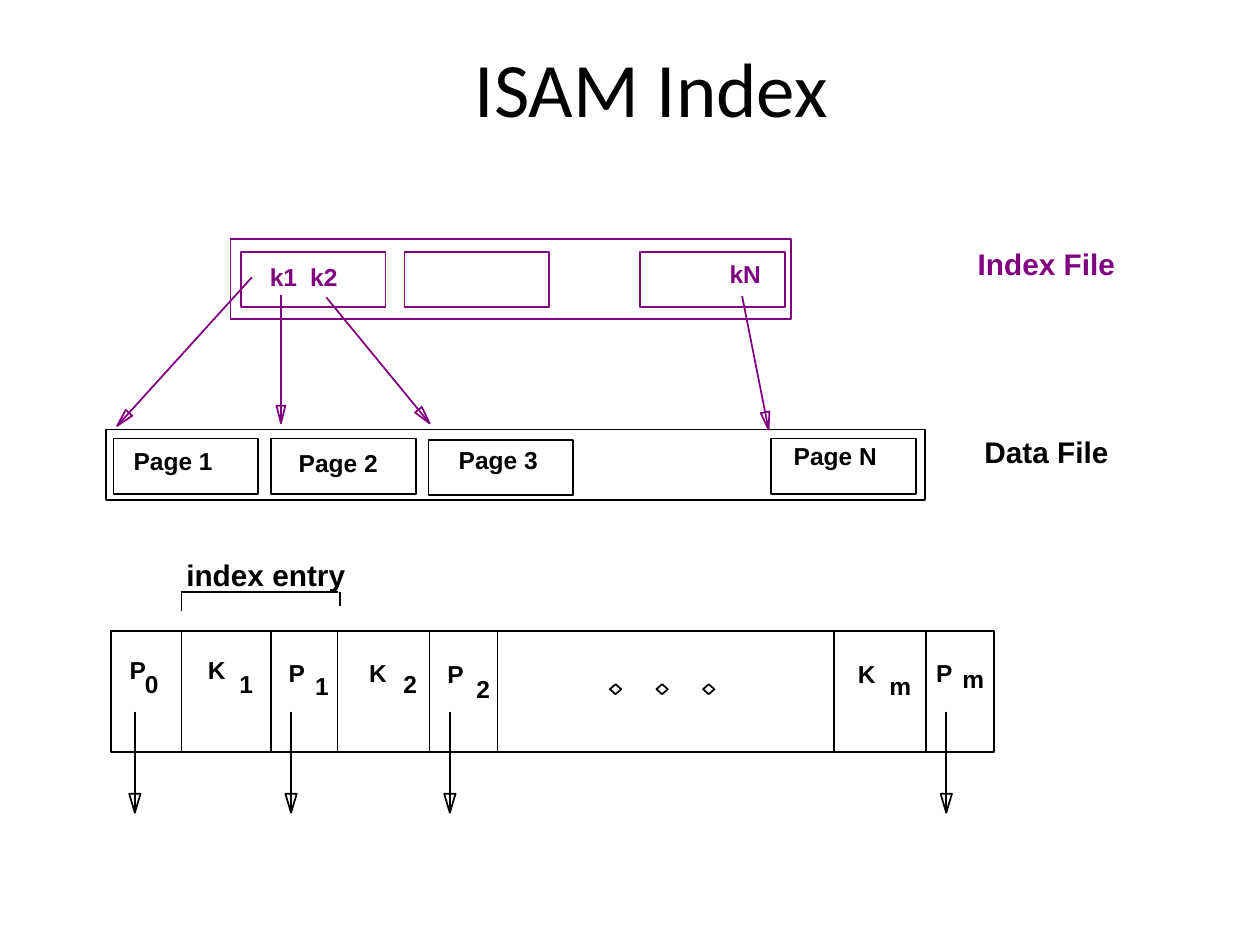
import math
from typing import NamedTuple

from lxml import etree
from pptx import Presentation
from pptx.dml.color import RGBColor
from pptx.enum.shapes import MSO_CONNECTOR, MSO_SHAPE
from pptx.enum.text import MSO_ANCHOR, MSO_AUTO_SIZE, PP_ALIGN
from pptx.oxml.ns import qn
from pptx.util import Inches, Pt

RECT, DIAMOND = MSO_SHAPE.RECTANGLE, MSO_SHAPE.DIAMOND
STRAIGHT = MSO_CONNECTOR.STRAIGHT
CENTER = PP_ALIGN.CENTER
TOP, MIDDLE = MSO_ANCHOR.TOP, MSO_ANCHOR.MIDDLE
FIT = MSO_AUTO_SIZE.SHAPE_TO_FIT_TEXT
NO_FIT = MSO_AUTO_SIZE.NONE

COLORS = {"data": "000000", "index": "800080"}
COLS, ROWS = 100, 75

prs = Presentation()
prs.slide_width, prs.slide_height = Inches(10), Inches(7.5)
s = prs.slides.add_slide(prs.slide_layouts[6])


class Box(NamedTuple):
    x: float
    y: float
    w: float
    h: float
    color: str = "data"
    kind: MSO_SHAPE = RECT


class Line(NamedTuple):
    x1: float
    y1: float
    x2: float
    y2: float
    color: str = "data"


class Arrow(NamedTuple):
    line: Line
    length: float
    width: float


class Label(NamedTuple):
    text: str
    x: float
    y: float
    w: float
    color: str = "data"
    size: int = 14


def col(n: float) -> int:
    return round(prs.slide_width * n / COLS)


def row(n: float) -> int:
    return round(prs.slide_height * n / ROWS)


def set_line(sp, color: str) -> None:
    sp.line.color.rgb = RGBColor.from_string(COLORS[color])
    sp.line.width = Pt(1)


def set_outline(sp, color: str) -> None:
    sp.shadow.inherit = False
    sp.fill.background()
    set_line(sp, color)


def draw_box(b: Box) -> None:
    sp = s.shapes.add_shape(b.kind, col(b.x), row(b.y), col(b.w), row(b.h))
    set_outline(sp, b.color)


def draw_line(ln: Line) -> None:
    sp = s.shapes.add_connector(STRAIGHT, col(ln.x1), row(ln.y1), col(ln.x2), row(ln.y2))
    set_line(sp, ln.color)
    etree.SubElement(sp._element.spPr, qn("a:effectLst"))


def draw_arrow(a: Arrow) -> None:
    ln = a.line
    draw_line(ln)
    dist = math.hypot(ln.x2 - ln.x1, ln.y2 - ln.y1)
    ux, uy = (ln.x2 - ln.x1) / dist, (ln.y2 - ln.y1) / dist
    base_x, base_y = ln.x2 - ux * a.length, ln.y2 - uy * a.length
    half = a.width / 2
    corners = [(col(base_x + k * uy * half), row(base_y - k * ux * half)) for k in (1, -1)]
    fb = s.shapes.build_freeform(col(ln.x2), row(ln.y2))
    fb.add_line_segments(corners, close=True)
    set_outline(fb.convert_to_shape(), ln.color)


def draw_text(text: str, box: Box, frame: dict, font: dict) -> None:
    sp = s.shapes.add_textbox(col(box.x), row(box.y), col(box.w), row(box.h))
    tf = sp.text_frame
    for name, value in frame.items():
        setattr(tf, name, value)
    p = tf.paragraphs[0]
    p.alignment = CENTER
    r = p.add_run()
    r.text = text
    for name, value in font.items():
        setattr(r.font, name, value)
    r.font.color.rgb = RGBColor.from_string(COLORS[box.color])


def draw_label(lb: Label) -> None:
    height = 3.3 if lb.size == 14 else 3.8
    draw_text(lb.text, Box(lb.x, lb.y, lb.w, height, lb.color),
              {"word_wrap": False, "auto_size": FIT, "vertical_anchor": TOP},
              {"name": "Arial", "size": Pt(lb.size), "bold": True})


PAGE_W, PAGE_H = 11.5, 4.4
ENTRY_Y, ENTRY_H = 50.1, 9.6

boxes = [
    Box(8.4, 34.1, 65, 5.6),
    *(Box(x, y, PAGE_W, PAGE_H) for x, y in
      ((9, 34.8), (21.5, 34.8), (34, 34.9), (61.2, 34.8))),
    Box(18.3, 19, 44.5, 6.3, "index"),
    *(Box(x, 20, PAGE_W, PAGE_H, "index") for x in (19.1, 32.1, 50.8)),
    *(Box(x, ENTRY_Y, w, ENTRY_H) for x, w in
      ((8.8, 70.1), (14.4, 7.1), (26.8, 7.3), (34.1, 5.4), (66.2, 7.3))),
    *(Box(48.4 + 3.7 * i, 54.3, 0.9, 0.8, kind=DIAMOND) for i in range(3)),
]

bracket = [
    Line(14.4, 47, 26.8, 47),
    Line(27, 47, 27, 48.1),
    Line(14.4, 48.5, 14.4, 47),
]

arrows = [
    *(Arrow(Line(*ends, "index"), 1.4, 0.7) for ends in
      ((20, 22, 9.3, 33.8), (22.3, 23.4, 22.3, 33.6),
       (25.9, 23.6, 34.1, 33.6), (58.9, 23.5, 61, 34.1))),
    *(Arrow(Line(x, 56.5, x, 64.5), 1.5, 0.9) for x in (10.7, 23.1, 35.7, 75.1)),
]

labels = [
    Label("k1", 20.4, 20.3, 4.2, "index"),
    Label("k2", 23.6, 20.3, 4.2, "index"),
    Label("kN", 56.9, 20.1, 4.5, "index"),
    Label("Index File", 76.6, 19, 12.9, "index", 17),
    Label("Page 1", 9.6, 34.9, 8.3),
    Label("Page 2", 22.7, 35.1, 8.3),
    Label("Page 3", 35.4, 34.8, 8.3),
    Label("Page N", 62, 34.5, 8.6),
    Label("Data File", 77.1, 33.9, 11.9, size=17),
    Label("index entry", 13.8, 43.7, 14.6, size=17),
    Label("P", 9.3, 51.5, 3.3),
    Label("0", 10.5, 52.6, 3.1),
    Label("K", 15.5, 51.5, 3.4),
    Label("1", 18, 52.6, 3.1),
    Label("P", 21.9, 51.7, 3.3),
    Label("1", 24, 52.8, 3.1),
    Label("K", 28.3, 51.7, 3.4),
    Label("2", 31, 52.6, 3.1),
    Label("P", 34.5, 51.8, 3.3),
    Label("2", 36.8, 53, 3.1),
    Label("K", 67.1, 51.8, 3.4),
    Label("m", 69.6, 52.8, 3.7),
    Label("P", 73.3, 51.7, 3.3),
    Label("m", 75.4, 52.2, 3.7),
]

draw_text("ISAM Index", Box(9.2, 0.8, 85, 12.1),
          {"word_wrap": True, "auto_size": NO_FIT, "vertical_anchor": MIDDLE},
          {"name": "Calibri", "size": Pt(44)})
for draw, items in ((draw_box, boxes), (draw_line, bracket),
                    (draw_arrow, arrows), (draw_label, labels)):
    for item in items:
        draw(item)

prs.save("out.pptx")
